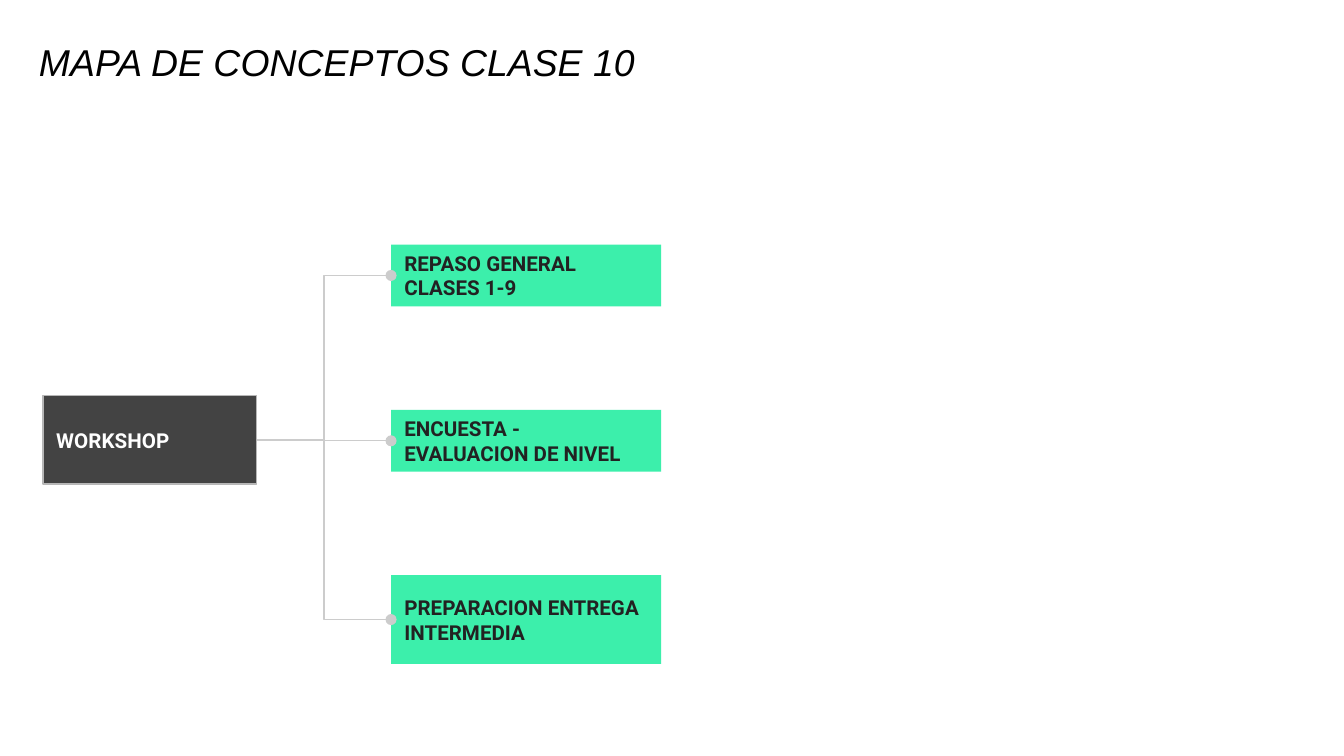
from dataclasses import dataclass

from lxml.etree import SubElement
from pptx import Presentation
from pptx.dml.color import RGBColor as RGB
from pptx.enum.shapes import MSO_CONNECTOR as CONN, MSO_SHAPE as SHAPE
from pptx.enum.text import MSO_ANCHOR as ANCHOR, MSO_AUTO_SIZE as FIT, PP_ALIGN as ALIGN
from pptx.oxml.ns import qn
from pptx.util import Inches, Pt


@dataclass(frozen=True)
class Theme:
    title_font: str = "Arial"
    body_font: str = "Roboto"
    title_size: float = 20
    body_size: float = 11
    line_width: float = 0.75
    black: RGB = RGB(0x00, 0x00, 0x00)
    white: RGB = RGB(0xFF, 0xFF, 0xFF)
    ink: RGB = RGB(0x22, 0x22, 0x22)
    dark: RGB = RGB(0x43, 0x43, 0x43)
    green: RGB = RGB(0x3C, 0xEF, 0xAB)
    border: RGB = RGB(0xB7, 0xB7, 0xB7)
    link: RGB = RGB(0xCC, 0xCC, 0xCC)


THEME = Theme()
TITLE_BOX = (0.19, 0.22, 8.26, 0.46)
MAP_BOX = (0.32, 1.82, 4.6, 3.12)
# Widths of the root, gap and topic columns
COLUMNS = (1.59, 1, 2.01)
ROOT_TOP, TALL, LOW = 0.36, 0.66, 0.46
TOPICS = [
    ("REPASO GENERAL CLASES 1-9", LOW),
    ("ENCUESTA - EVALUACION DE NIVEL", LOW),
    ("PREPARACION ENTREGA INTERMEDIA", TALL),
]


def write(sp, text, anchor, inset_y, **font):
    tf = sp.text_frame
    frame = dict(word_wrap=True, auto_size=FIT.NONE, vertical_anchor=anchor,
                 margin_left=Inches(0.1), margin_right=Inches(0.1),
                 margin_top=Inches(inset_y), margin_bottom=Inches(inset_y))
    for name, value in frame.items():
        setattr(tf, name, value)
    p = tf.paragraphs[0]
    p.alignment = ALIGN.LEFT
    r = p.add_run()
    r.text = text
    r.font.color.rgb = font.pop("color")
    for name, value in font.items():
        setattr(r.font, name, value)
    return p


def add_title(slide, box, text):
    sp = slide.shapes.title
    sp.left, sp.top, sp.width, sp.height = map(Inches, box)
    p = write(sp, text, ANCHOR.BOTTOM, 0.05, name=THEME.title_font,
              size=Pt(THEME.title_size), italic=True, color=THEME.black)
    p.line_spacing = 0.9


def add_node(slide, box, text, fill, color, border=None):
    sp = slide.shapes.add_shape(SHAPE.RECTANGLE, *map(Inches, box))
    sp.shadow.inherit = False
    sp.fill.solid()
    sp.fill.fore_color.rgb = fill
    if border is None:
        sp.line.fill.background()
    else:
        sp.line.color.rgb = border
        sp.line.width = Pt(THEME.line_width)
    write(sp, text, ANCHOR.MIDDLE, 0.1, name=THEME.body_font,
          size=Pt(THEME.body_size), bold=True, color=color)
    return sp


def add_link(slide, root, topic):
    cx = slide.shapes.add_connector(
        CONN.ELBOW, root.left + root.width, root.top + root.height // 2,
        topic.left, topic.top + topic.height // 2)
    cx.begin_connect(root, 3)
    cx.end_connect(topic, 1)
    cx.line.color.rgb = THEME.link
    cx.line.width = Pt(THEME.line_width)
    # Round dot at the topic end, no shadow
    SubElement(cx.line._get_or_add_ln(), qn("a:tailEnd"), type="oval")
    SubElement(cx._element.spPr, qn("a:effectLst"))


def add_concept_map(slide, box, root_text, topics):
    left, top, width, height = box
    root_w, gap, topic_w = (width * c / sum(COLUMNS) for c in COLUMNS)
    root = add_node(slide, (left, top + ROOT_TOP * height, root_w, TALL),
                    root_text, THEME.dark, THEME.white, THEME.border)
    # Topic tops are evenly spaced; the last topic ends at the box bottom
    pitch = (height - topics[-1][1]) / (len(topics) - 1)
    for i, (text, topic_h) in enumerate(topics):
        topic_box = (left + root_w + gap, top + i * pitch, topic_w, topic_h)
        topic = add_node(slide, topic_box, text, THEME.green, THEME.ink)
        add_link(slide, root, topic)


def main():
    prs = Presentation()
    # Widescreen, 16:9
    prs.slide_width = Inches(10)
    prs.slide_height = prs.slide_width * 9 // 16
    slide = prs.slides.add_slide(prs.slide_layouts[5])
    add_title(slide, TITLE_BOX, "MAPA DE CONCEPTOS CLASE 10")
    add_concept_map(slide, MAP_BOX, "WORKSHOP", TOPICS)
    prs.save("out.pptx")


if __name__ == "__main__":
    main()
